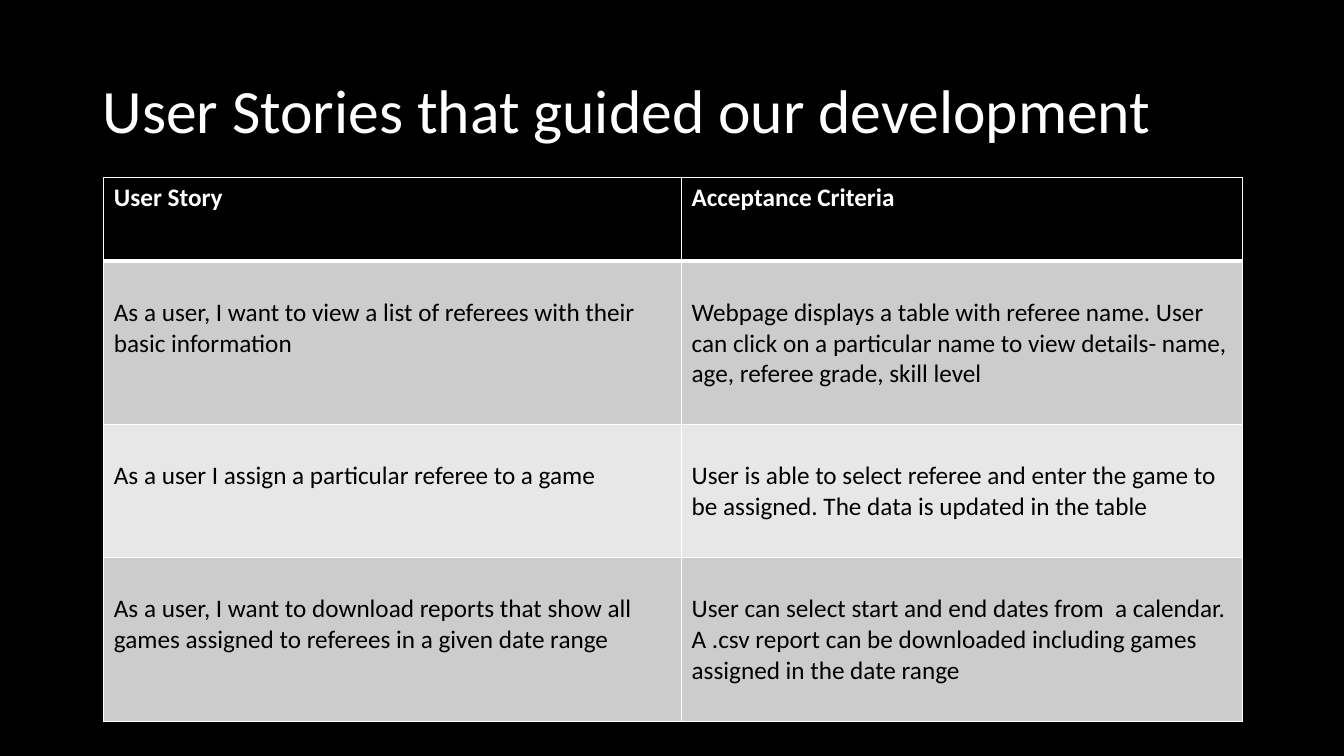
from pptx import Presentation
from pptx.dml.color import RGBColor
from pptx.enum.text import MSO_ANCHOR as Anchor
from pptx.oxml import parse_xml
from pptx.oxml.ns import nsdecls
from pptx.util import Inches, Pt

BLACK, WHITE = "000000", "FFFFFF"
BANDS = ("CCCCCC", "E7E7E7")
COLUMN_WIDTHS = (5.73, 5.56)
ROW_HEIGHTS = (0.83, 1.62, 1.32, 1.63)
STORIES = (
    ("User Story", "Acceptance Criteria"),
    ("As a user, I want to view a list of referees with their basic information",
     "Webpage displays a table with referee name. User can click on a particular name "
     "to view details- name, age, referee grade, skill level"),
    ("As a user I assign a particular referee to a game",
     "User is able to select referee and enter the game to be assigned. "
     "The data is updated in the table"),
    ("As a user, I want to download reports that show all games assigned to referees "
     "in a given date range",
     "User can select start and end dates from  a calendar. A .csv report can be "
     "downloaded including games assigned in the date range"),
)


def rgb(value):
    return RGBColor.from_string(value)


def paint(part, color):
    part.fill.solid()
    part.fill.fore_color.rgb = rgb(color)


def write(frame, text, color, size, bold=False):
    frame.word_wrap = True
    line = frame.paragraphs[0]
    run = line.add_run()
    run.text = text
    for name, value in {"name": "Calibri", "size": Pt(size), "bold": bold}.items():
        setattr(run.font, name, value)
    run.font.color.rgb = rgb(color)
    return line


def add_borders(cell, widths):
    # Border lines come before the fill in the cell properties
    properties = cell._tc.get_or_add_tcPr()
    for place, (side, width) in enumerate(widths.items()):
        properties.insert(place, parse_xml(
            f'<a:ln{side} {nsdecls("a")} w="{Pt(width)}"><a:solidFill>'
            f'<a:srgbClr val="{WHITE}"/></a:solidFill></a:ln{side}>'))


def add_title(slide, text):
    title = slide.shapes.add_textbox(Inches(0.92), Inches(0.4), Inches(11.5), Inches(1.45))
    title.text_frame.vertical_anchor = Anchor.MIDDLE
    write(title.text_frame, text, WHITE, 44).line_spacing = 0.9


def add_story_table(slide):
    stories = slide.shapes.add_table(
        len(STORIES), len(COLUMN_WIDTHS), Inches(1.03), Inches(1.76),
        Inches(sum(COLUMN_WIDTHS)), Inches(sum(ROW_HEIGHTS))).table
    for column, width in zip(stories.columns, COLUMN_WIDTHS):
        column.width = Inches(width)
    for index, (row, height) in enumerate(zip(stories.rows, ROW_HEIGHTS)):
        row.height = Inches(height)
        header = index == 0
        for cell, text in zip(row.cells, STORIES[index]):
            cell.margin_top = Inches(0.05 if header else 0.36)
            paint(cell, BLACK if header else BANDS[(index - 1) % 2])
            write(cell.text_frame, text, WHITE if header else BLACK, 18, header)
            # The rule under the header is thicker
            add_borders(cell, {"L": 1, "R": 1, "T": 3 if index == 1 else 1,
                               "B": 3 if header else 1})


def main():
    deck = Presentation()
    deck.slide_width, deck.slide_height = Inches(13.33), Inches(7.5)
    slide = deck.slides.add_slide(deck.slide_layouts[6])
    paint(slide.background, BLACK)
    add_title(slide, "User Stories that guided our development")
    add_story_table(slide)
    deck.save("out.pptx")


if __name__ == "__main__":
    main()
